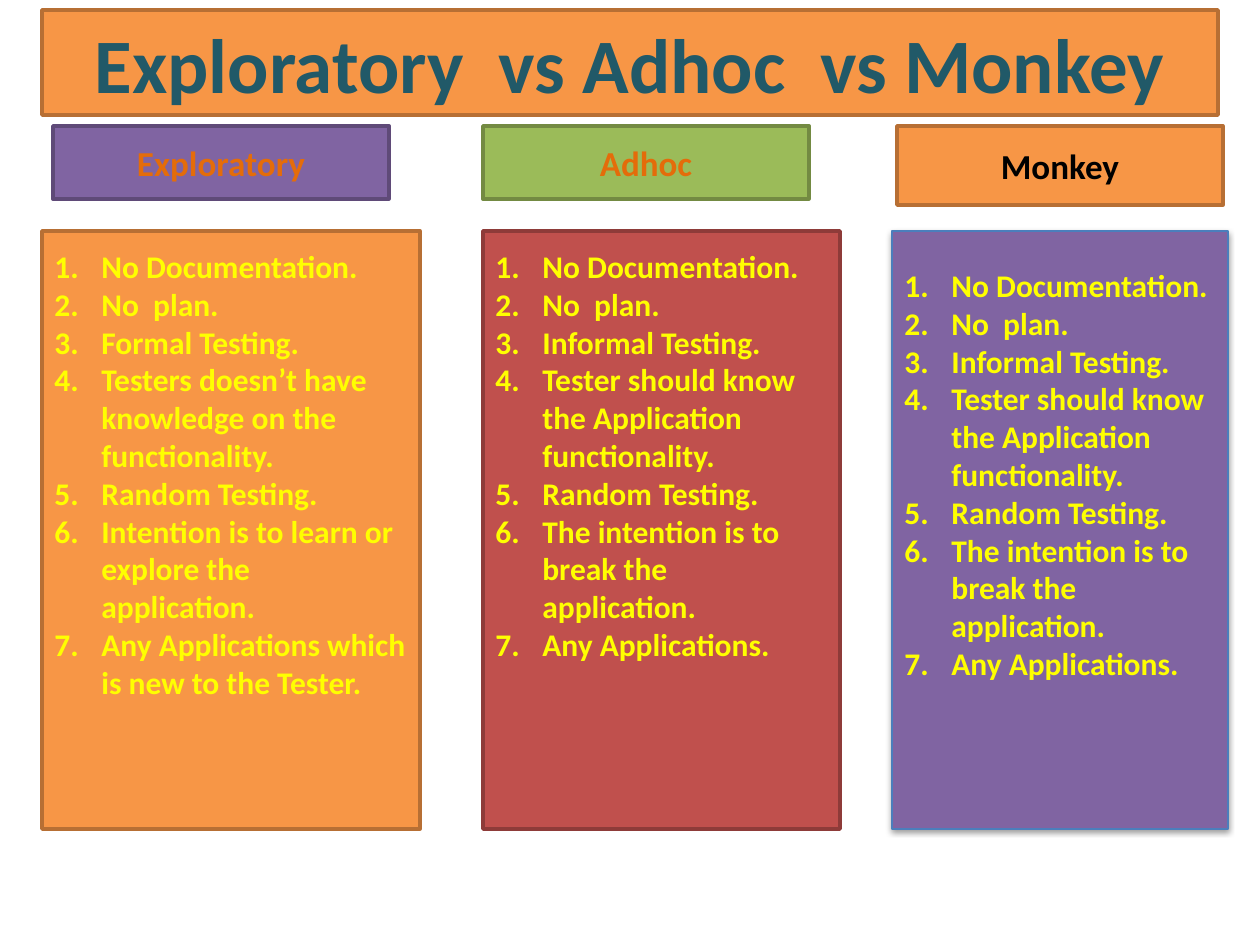
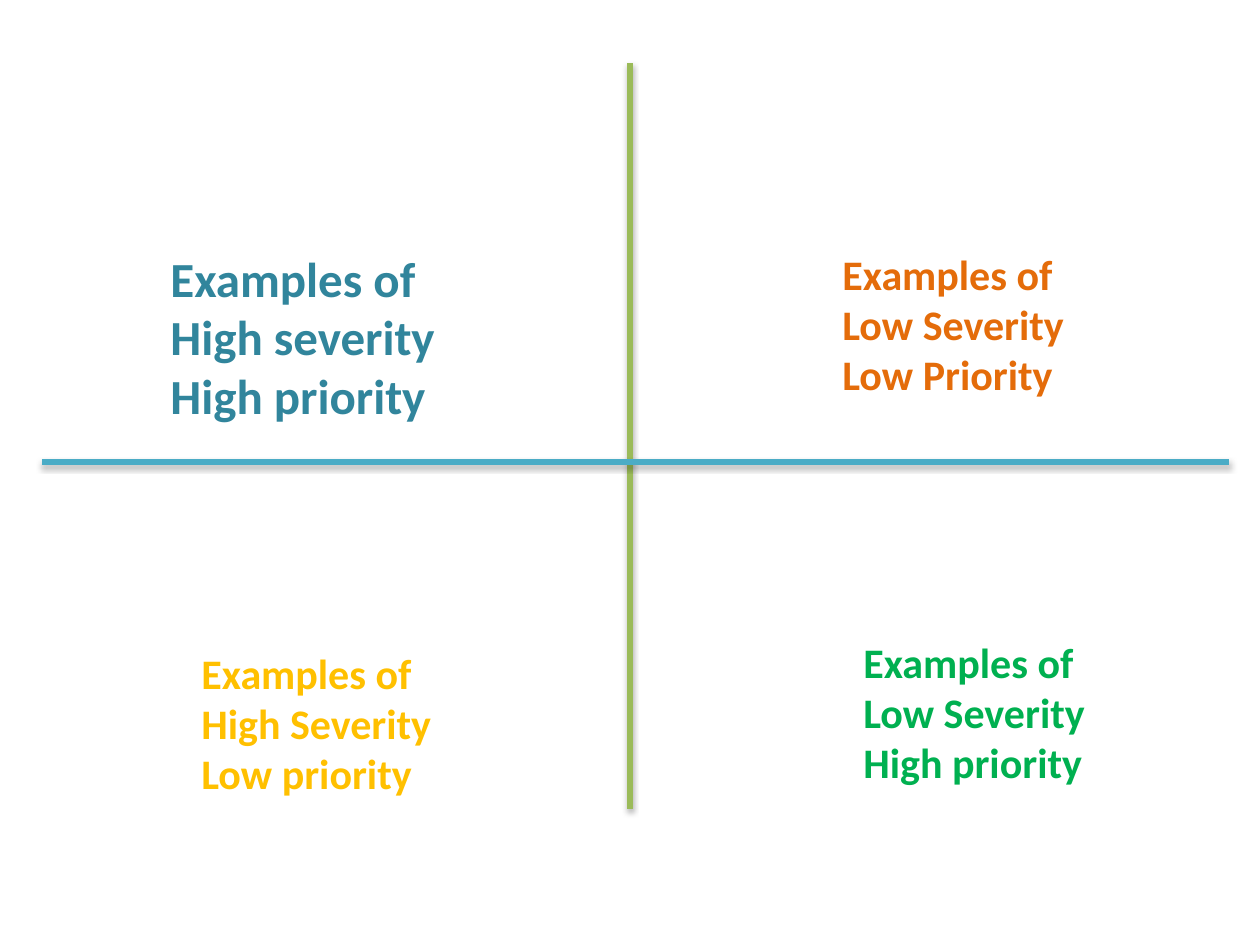
from lxml import etree
from pptx import Presentation
from pptx import util as u
from pptx.dml.color import RGBColor
from pptx.enum import shapes, text
from pptx.oxml.ns import qn

FONT = "Calibri"
ORANGE, ORANGE_EDGE = "F79646", "B76F34"
PURPLE, GREEN, TEAL = "8064A2", "9BBB59", "4BACC6"
BURNT, YELLOW = "E46C0A", "FFFF00"
TITLE_ONLY, BLANK = 5, 6


def px(n):
    return u.Emu(round(n * 914400 / 126))


def rgb(value):
    return RGBColor.from_string(value)


def paint(sp, fill, edge, weight=2):
    sp.fill.solid()
    sp.fill.fore_color.rgb = rgb(fill)
    sp.line.color.rgb = rgb(edge)
    sp.line.width = u.Pt(weight)


def add_shadow(effects, dist, alpha):
    shadow = etree.SubElement(effects, qn("a:outerShdw"), blurRad="40000", dist=str(dist),
                              dir="5400000", rotWithShape="0")
    color = etree.SubElement(shadow, qn("a:srgbClr"), val="000000")
    etree.SubElement(color, qn("a:alpha"), val=str(alpha * 1000))


def number(p, indent):
    pPr = p._p.get_or_add_pPr()
    pPr.set("marL", str(indent))
    pPr.set("indent", str(-indent))
    etree.SubElement(pPr, qn("a:buFont"), typeface="+mj-lt")
    etree.SubElement(pPr, qn("a:buAutoNum"), type="arabicPeriod")


def write(tf, lines, size, color, align=text.PP_ALIGN.LEFT, numbered=False):
    for i, line in enumerate(lines):
        p = tf.paragraphs[0] if i == 0 else tf.add_paragraph()
        p.alignment = align
        if numbered:
            number(p, px(47))
        r = p.add_run()
        r.text = line
        r.font.name = FONT
        r.font.size = u.Pt(size)
        r.font.bold = True
        r.font.color.rgb = rgb(color)


def add_title(s, box, title):
    sp = s.shapes.title
    sp.left, sp.top, sp.width, sp.height = map(px, box)
    paint(sp, ORANGE, ORANGE_EDGE)
    tf = sp.text_frame
    tf.auto_size = text.MSO_AUTO_SIZE.NONE
    tf.vertical_anchor = text.MSO_ANCHOR.MIDDLE
    write(tf, [title], 44, "215968", text.PP_ALIGN.CENTER)


def add_rect(s, box, fill, edge, weight=2):
    sp = s.shapes.add_shape(shapes.MSO_SHAPE.RECTANGLE, *map(px, box))
    sp.shadow.inherit = False
    paint(sp, fill, edge, weight)
    sp.text_frame.word_wrap = True
    return sp


def add_header(s, box, label, fill, edge, color):
    tf = add_rect(s, box, fill, edge).text_frame
    tf.vertical_anchor = text.MSO_ANCHOR.MIDDLE
    write(tf, [label], 20, color, text.PP_ALIGN.CENTER)


def add_panel(s, box, points, fill, edge, weight=2, inset=16, shadow=False):
    sp = add_rect(s, box, fill, edge, weight)
    if shadow:
        add_shadow(sp._element.spPr.find(qn("a:effectLst")), 20000, 38)
    tf = sp.text_frame
    tf.vertical_anchor = text.MSO_ANCHOR.TOP
    tf.margin_top = px(inset)
    write(tf, points, 18, YELLOW, numbered=True)


def add_axis(s, start, end, color):
    line = s.shapes.add_connector(shapes.MSO_CONNECTOR.STRAIGHT, *map(px, start + end))
    line.line.color.rgb = rgb(color)
    line.line.width = u.Pt(3)
    effects = etree.SubElement(line._element.spPr, qn("a:effectLst"))
    add_shadow(effects, 23000, 35)


def add_quadrant(s, box, severity, priority, color, size=24, wrap=True):
    tf = s.shapes.add_textbox(*map(px, box)).text_frame
    tf.word_wrap = wrap
    tf.auto_size = text.MSO_AUTO_SIZE.SHAPE_TO_FIT_TEXT
    write(tf, ["Examples of", severity, priority], size, color)


def comparison_slide(prs):
    s = prs.slides.add_slide(prs.slide_layouts[TITLE_ONLY])
    add_title(s, (42, 10, 1176, 105), "Exploratory  vs Adhoc  vs Monkey")

    exploratory = [
        "No Documentation.", "No  plan.", "Formal Testing.",
        "Testers doesn’t have knowledge on the functionality.",
        "Random Testing.", "Intention is to learn or explore the application.",
        "Any Applications which is new to the Tester.",
    ]
    informal = [
        "No Documentation.", "No  plan.", "Informal Testing.",
        "Tester should know the Application functionality.",
        "Random Testing.", "The intention is to break the application.",
        "Any Applications.",
    ]
    top, height = 231, 598
    add_panel(s, (42, top, 378, height), exploratory, ORANGE, ORANGE_EDGE)
    add_panel(s, (483, top, 357, height), informal, "C0504D", "8E3B39")
    add_panel(s, (892, top, 336, height), informal, PURPLE, "4B7EBC",
              weight=0.75, inset=35, shadow=True)

    add_header(s, (53, 126, 336, 73), "Exploratory", PURPLE, "5F4A78", BURNT)
    add_header(s, (483, 126, 326, 73), "Adhoc", GREEN, "738A42", BURNT)
    add_header(s, (897, 126, 326, 79), "Monkey", ORANGE, ORANGE_EDGE, "000000")


def quadrant_slide(prs):
    s = prs.slides.add_slide(prs.slide_layouts[BLANK])
    add_axis(s, (630, 809), (630, 63), GREEN)
    add_axis(s, (42, 462), (1229, 462), TEAL)
    add_quadrant(s, (158, 242, 294, 190), "High severity", "High priority", "31859C", size=28)
    add_quadrant(s, (830, 242, 260, 165), "Low Severity", "Low Priority", BURNT, wrap=False)
    add_quadrant(s, (189, 641, 257, 165), "High Severity", "Low priority", "FFC000", wrap=False)
    add_quadrant(s, (851, 630, 312, 165), "Low Severity", "High priority", "00B050")


def main():
    prs = Presentation()
    prs.slide_width, prs.slide_height = px(1260), px(945)
    comparison_slide(prs)
    quadrant_slide(prs)
    prs.save("out.pptx")


if __name__ == "__main__":
    main()
